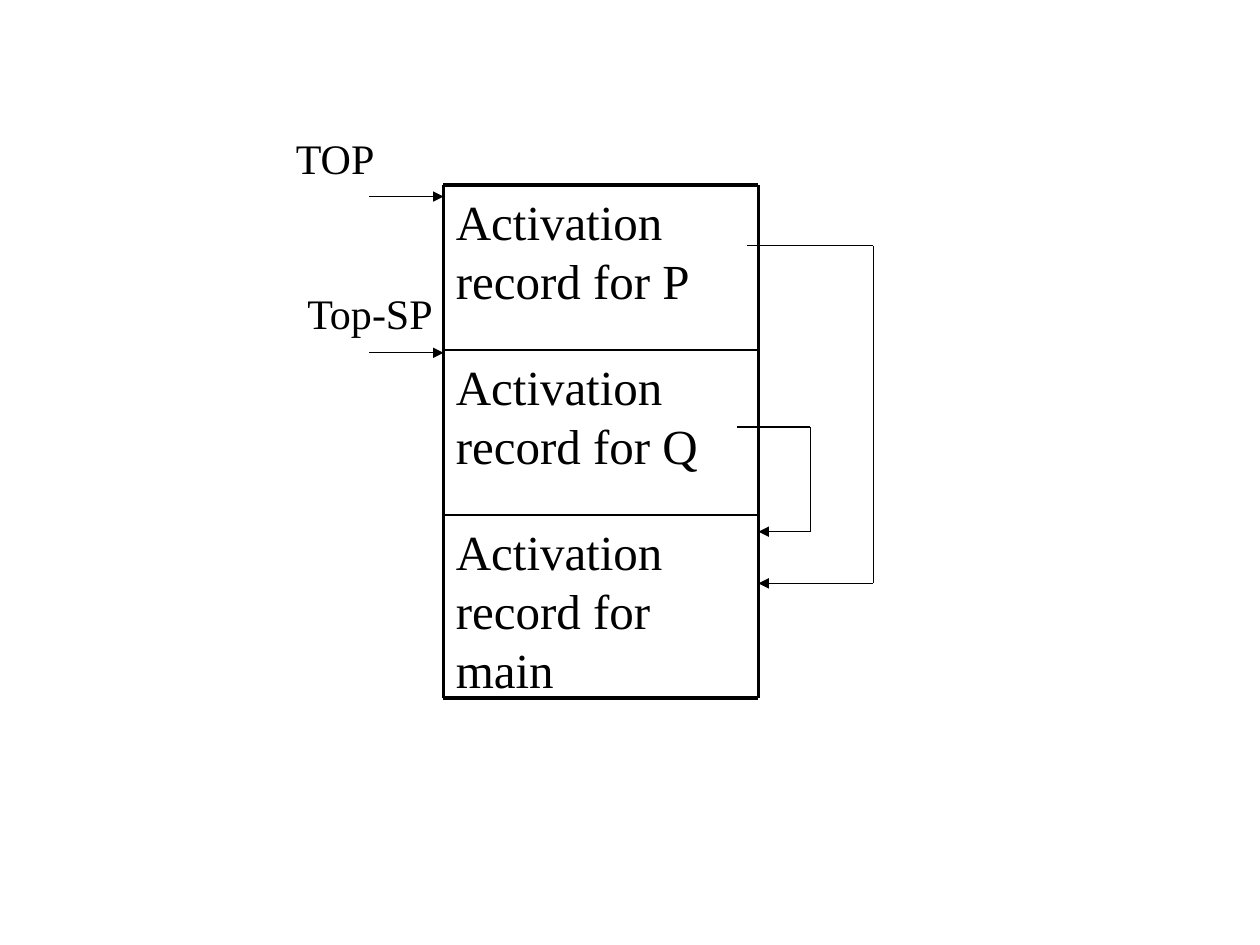
from dataclasses import dataclass
from itertools import pairwise

from lxml import etree
from pptx import Presentation
from pptx.dml.color import RGBColor
from pptx.enum.shapes import MSO_CONNECTOR
from pptx.enum.text import MSO_AUTO_SIZE
from pptx.oxml.ns import qn
from pptx.util import Inches, Pt

STRAIGHT = MSO_CONNECTOR.STRAIGHT
GROW = MSO_AUTO_SIZE.SHAPE_TO_FIT_TEXT


@dataclass(frozen=True)
class Theme:
    font: str = "Times New Roman"
    ink: RGBColor = RGBColor(0, 0, 0)
    record_size: int = 28
    label_size: int = 24
    border: float = 2.25
    divider: float = 1
    link: float = 0.75


THEME = Theme()
LEFT, RIGHT = 3.52, 6.02
ROW_EDGES = [1.47, 2.78, 4.09, 5.54]
RECORDS = ["P", "Q", "main"]


def add_text(slide, text, x, y, w, h, size, wrap=True):
    sp = slide.shapes.add_textbox(Inches(x), Inches(y), Inches(w), Inches(h))
    tf = sp.text_frame
    tf.word_wrap = wrap
    if not wrap:
        tf.auto_size = GROW
    p = tf.paragraphs[0]
    p.text = text
    p.font.name = THEME.font
    p.font.size = Pt(size)
    p.font.color.rgb = THEME.ink


def add_line(slide, start, end, width, arrow=False):
    points = [Inches(v) for v in (*start, *end)]
    line = slide.shapes.add_connector(STRAIGHT, *points)
    line.line.color.rgb = THEME.ink
    line.line.width = Pt(width)
    if arrow:
        ln = line.line._get_or_add_ln()
        etree.SubElement(ln, qn("a:tailEnd"), type="triangle")
    etree.SubElement(line._element.spPr, qn("a:effectLst"))


def add_stack(slide):
    for name, (top, bottom) in zip(RECORDS, pairwise(ROW_EDGES)):
        add_text(slide, f"Activation record for {name}", LEFT, top,
                 RIGHT - LEFT, bottom - top, THEME.record_size)
    top, *dividers, bottom = ROW_EDGES
    for y in dividers:
        add_line(slide, (LEFT, y), (RIGHT, y), THEME.divider)
    for y in (top, bottom):
        add_line(slide, (LEFT, y), (RIGHT, y), THEME.border)
    for x in (LEFT, RIGHT):
        add_line(slide, (x, top), (x, bottom), THEME.border)


def add_access_link(slide, x, y, bend, target):
    corners = [(x, y), (bend, y), (bend, target), (RIGHT, target)]
    for start, end in pairwise(corners):
        add_line(slide, start, end, THEME.link, arrow=end == corners[-1])


def add_pointer(slide, text, x, y, w, arrow_y):
    add_line(slide, (2.93, arrow_y), (LEFT, arrow_y), THEME.link, arrow=True)
    add_text(slide, text, x, y, w, 0.5, THEME.label_size, wrap=False)


def main():
    prs = Presentation()
    prs.slide_width, prs.slide_height = Inches(10), Inches(7.5)
    slide = prs.slides.add_slide(prs.slide_layouts[6])
    add_stack(slide)
    add_access_link(slide, 5.93, 1.95, 6.93, 4.63)
    add_access_link(slide, 5.85, 3.39, 6.43, 4.22)
    add_pointer(slide, "TOP", 2.25, 1, 0.83, 1.56)
    add_pointer(slide, "Top-SP", 2.34, 2.23, 1.22, 2.8)
    prs.save("out.pptx")


if __name__ == "__main__":
    main()
